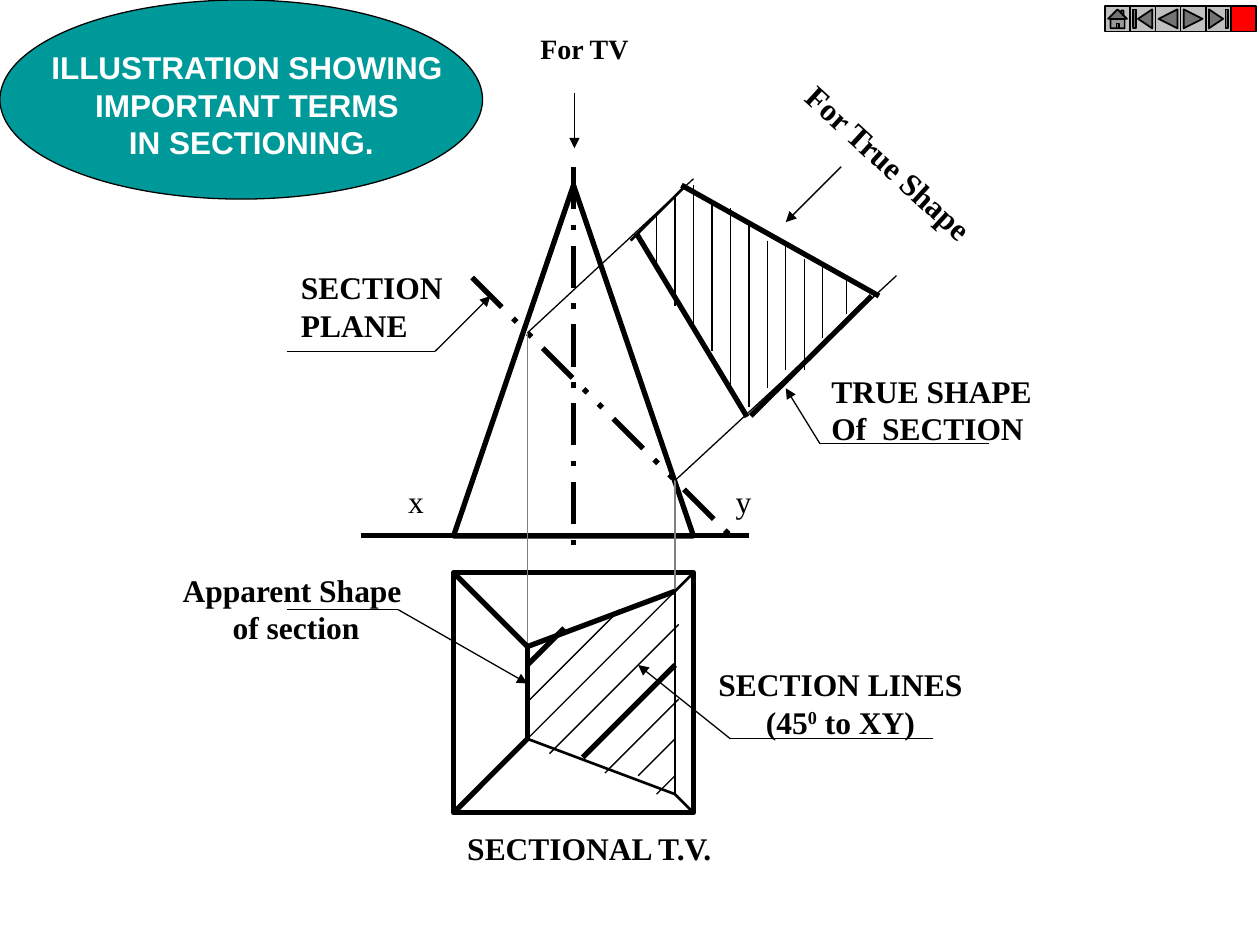
from lxml.etree import SubElement
from pptx import Presentation
from pptx.dml.color import RGBColor
from pptx.enum.dml import MSO_LINE
from pptx.enum.shapes import MSO_CONNECTOR, MSO_SHAPE
from pptx.enum.text import MSO_AUTO_SIZE, PP_ALIGN
from pptx.oxml.ns import qn
from pptx.util import Inches, Pt

THEME = {
    "ink": RGBColor(0, 0, 0),
    "paper": RGBColor(255, 255, 255),
    "teal": RGBColor(0, 0x99, 0x99),
    "grey": RGBColor(0x80, 0x80, 0x80),
    "button": RGBColor(0xC0, 0xC0, 0xC0),
    "red": RGBColor(255, 0, 0),
    "serif": "Times New Roman",
    "sans": "Arial",
    "size": 18,
    "small": 16,
    "thin": 0.75,
    "outline": 1,
    "medium": 1.5,
    "heavy": 3,
}
INK, THIN, MEDIUM, HEAVY = (THEME[key] for key in ("ink", "thin", "medium", "heavy"))

deck = Presentation()
deck.slide_width, deck.slide_height = Inches(10), Inches(7.5)
page = deck.slides.add_slide(deck.slide_layouts[6])

# Page grid of 100 columns by 75 rows, for labels and buttons
CELL = deck.slide_width / 100
# Drawing grid: 34 modules from the apex (row 0) to the foot of the plan
MODULE = Inches(4.98) / 34
LEFT, TOP = Inches(3.6), Inches(1.47)
XY_ROW, PLAN_ROW, PLAN_SIDE = 19, 21, 13


def draw_line(start, end, weight=THIN, color=INK, dash=None, arrow=False):
    """Join two (column, row) points of the drawing grid."""
    (x1, y1), (x2, y2) = [
        (round(LEFT + column * MODULE), round(TOP + row * MODULE))
        for column, row in (start, end)
    ]
    line = page.shapes.add_connector(MSO_CONNECTOR.STRAIGHT, x1, y1, x2, y2)
    line.line.color.rgb = color
    line.line.width = Pt(weight)
    if dash:
        line.line.dash_style = dash
    if arrow:
        SubElement(line.line._get_or_add_ln(), qn("a:tailEnd"), type="triangle")
    SubElement(line._element.spPr, qn("a:effectLst"))


def add_solid(kind, bounds, fill, weight):
    """Add a filled, outlined preset shape."""
    solid = page.shapes.add_shape(kind, *[round(length) for length in bounds])
    solid.shadow.inherit = False
    solid.fill.solid()
    solid.fill.fore_color.rgb = fill
    solid.line.color.rgb = INK
    solid.line.width = Pt(weight)


# Title oval, square plan and triangular elevation
side = PLAN_SIDE * MODULE
add_solid(MSO_SHAPE.OVAL, (0, 0, 38.3 * CELL, 15.8 * CELL), THEME["teal"], THIN)
add_solid(MSO_SHAPE.RECTANGLE, (LEFT, TOP + PLAN_ROW * MODULE, side, side),
          THEME["paper"], HEAVY)
add_solid(MSO_SHAPE.ISOSCELES_TRIANGLE, (LEFT, TOP, side, XY_ROW * MODULE),
          THEME["paper"], HEAVY)

# Reference line, axis and section plane
draw_line((-5, XY_ROW), (16, XY_ROW), HEAVY)
draw_line((6.5, -1), (6.5, 20), HEAVY, dash=MSO_LINE.LONG_DASH_DOT)
draw_line((1, 5), (15, XY_ROW), HEAVY, dash=MSO_LINE.DASH_DOT_DOT)

# Projectors from the cut points down to the plan and out to the true shape
near, far = (4, 8), (12, 16)
draw_line(near, (4, 25), color=THEME["grey"])
draw_line(far, (12, 22), color=THEME["grey"])
draw_line(near, (13, -0.35))
draw_line(far, (24, 4.9))

# Plan: slant edges and apparent shape of the section
for start, end, weight in [
    ((0, 21), (4, 25), HEAVY),
    ((4, 30), (0, 34), HEAVY),
    ((4, 25), (12, 22), HEAVY),
    ((4, 30), (12, 33), MEDIUM),
    ((4, 25), (4, 30), HEAVY),
    ((12, 22), (12, 33), MEDIUM),
    ((12, 33), (13, 34), MEDIUM),
    ((12, 22), (13, 21), MEDIUM),
]:
    draw_line(start, end, weight)

# Plan hatching: 45 degree lines as upper end, run and weight
for column, row, run, weight in [
    (6, 24, 2, HEAVY),
    (9, 23, 5, THIN),
    (12, 22, 8, THIN),
    (12.2, 23.8, 7, THIN),
    (12, 26, 5, HEAVY),
    (12.2, 27.85, 4, THIN),
    (12, 30, 2, THIN),
    (12, 32, 1, THIN),
]:
    draw_line((column, row), (column - run, row + run), weight)

# True shape outline
for start, end, weight in [
    ((9.9, 2.6), (15.9, 12.55), HEAVY),
    ((12.35, 0), (23.05, 6), HEAVY),
    ((16.1, 12.5), (22.65, 6), HEAVY),
    ((9.6, 3), (12.6, 0), MEDIUM),
]:
    draw_line(start, end, weight)

# True shape hatching: one upright per column, as top and bottom rows
uprights = [(1.5, 4.5), (0.55, 6.55), (0, 8), (0.95, 9), (1.25, 11.25),
            (2, 12), (3, 11), (3, 10), (4, 10), (4.3, 8.3)]
for column, (top, bottom) in enumerate(uprights, start=11):
    draw_line((column, top), (column, bottom))
draw_line((21.3, 5), (21.3, 7))

# Leaders: shelf end, elbow, arrow tip
for shelf, elbow, tip in [
    ((-9, 23), (-3, 23), (4, 27)),
    ((26, 30), (15, 30), (10, 26)),
    ((-9, 9), (-1, 9), (2, 6)),
    ((29, 14), (19.85, 14), (18, 11)),
]:
    draw_line(shelf, elbow)
    draw_line(elbow, tip, arrow=True)

# Viewing directions
draw_line((21, -1), (18, 2), arrow=True)
draw_line((6.55, -5), (6.55, -2), arrow=True)

# Labels: bounds on the page grid, lines of text, and departures from the usual style
centered = {"align": PP_ALIGN.CENTER}
labels = [
    ((3, 3.3, 33.9, 10),
     ["ILLUSTRATION SHOWING ", "IMPORTANT TERMS ", "IN SECTIONING."],
     {"font": THEME["sans"], "color": THEME["paper"], **centered}),
    ((31.4, 37.8, 3.2, 4), ["x"], {"bold": False}),
    ((57.4, 37.8, 3.2, 4), ["y"], {"bold": False}),
    ((65, 29, 17.9, 7), ["TRUE SHAPE", "Of  SECTION"], {}),
    ((22.9, 20.8, 13.9, 7), ["SECTION", "PLANE"], {}),
    ((56, 52.3, 21.4, 7), ["SECTION LINES", "(45^0^ to XY)"], centered),
    ((13.5, 44.8, 20, 7), ["Apparent Shape ", "of section"], centered),
    ((36.1, 65.3, 22.1, 4), ["SECTIONAL T.V."], {}),
    ((41.9, 2, 9.1, 3.7), ["For TV"], {"size": THEME["small"]}),
    ((61.2, 11, 18.9, 4), ["For True Shape"], {"turn": 42.5}),
]
for bounds, lines, style in labels:
    box = page.shapes.add_textbox(*[round(length * CELL) for length in bounds])
    box.rotation = style.get("turn", 0)
    frame = box.text_frame
    frame.word_wrap = False
    frame.auto_size = MSO_AUTO_SIZE.SHAPE_TO_FIT_TEXT
    for number, text in enumerate(lines):
        para = frame.add_paragraph() if number else frame.paragraphs[0]
        para.alignment = style.get("align", PP_ALIGN.LEFT)
        # Carets enclose superscript text
        for part, words in enumerate(text.split("^")):
            span = para.add_run()
            span.text = words
            span.font.name = style.get("font", THEME["serif"])
            span.font.size = Pt(style.get("size", THEME["size"]))
            span.font.bold = style.get("bold", True)
            span.font.color.rgb = style.get("color", INK)
            if part % 2:
                span._r.get_or_add_rPr().set("baseline", "30000")

# Navigation buttons
buttons = [
    (MSO_SHAPE.ACTION_BUTTON_HOME, THEME["button"]),
    (MSO_SHAPE.ACTION_BUTTON_BEGINNING, THEME["button"]),
    (MSO_SHAPE.ACTION_BUTTON_BACK_OR_PREVIOUS, THEME["button"]),
    (MSO_SHAPE.ACTION_BUTTON_FORWARD_OR_NEXT, THEME["button"]),
    (MSO_SHAPE.ACTION_BUTTON_END, THEME["button"]),
    (MSO_SHAPE.ACTION_BUTTON_CUSTOM, THEME["red"]),
]
for place, (kind, fill) in enumerate(buttons):
    bounds = ((87.7 + 2 * place) * CELL, 0.5 * CELL, 2 * CELL, 2 * CELL)
    add_solid(kind, bounds, fill, THEME["outline"])

deck.save("out.pptx")
